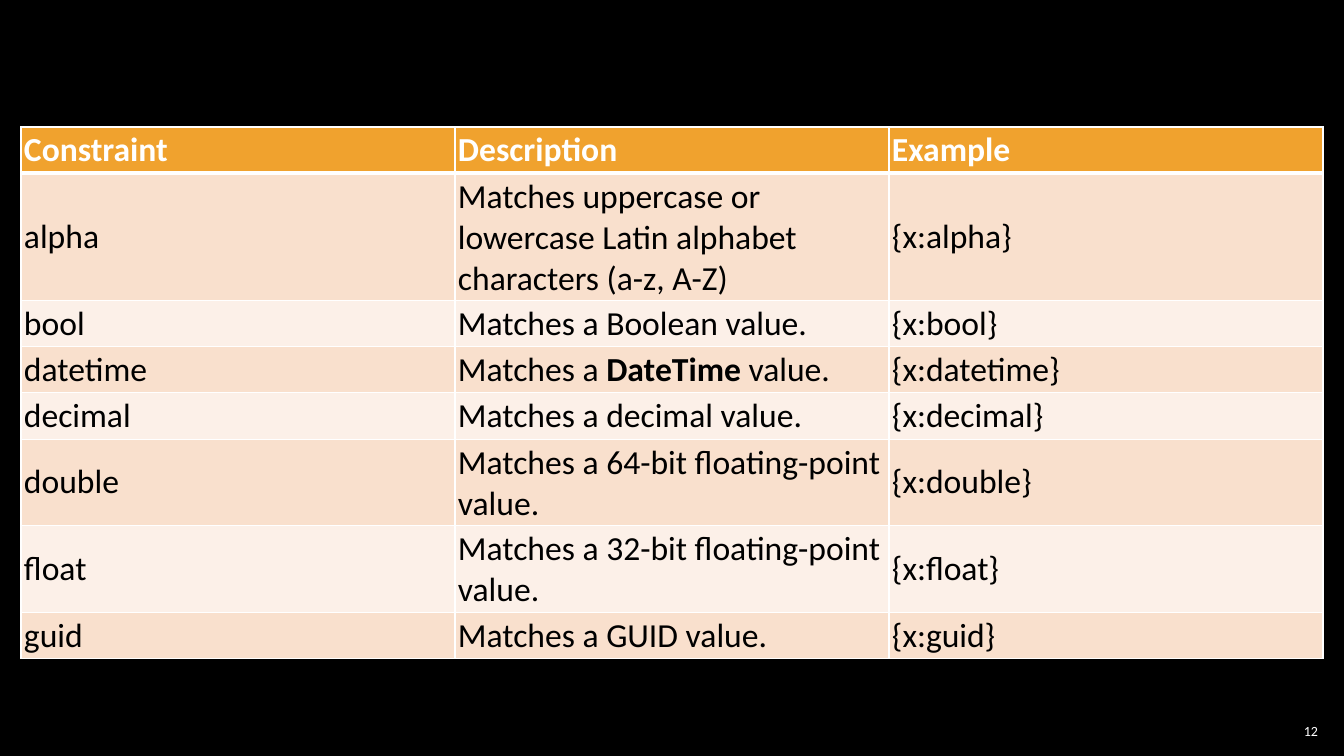
"""Builds a slide with a table of route constraints."""
from dataclasses import dataclass

from lxml.etree import SubElement
from pptx import Presentation
from pptx.dml.color import RGBColor
from pptx.enum.text import MSO_ANCHOR, PP_ALIGN
from pptx.oxml.ns import qn
from pptx.util import Emu, Pt


@dataclass(frozen=True)
class Theme:
    font: str = "Calibri"
    table_size: int = 24
    number_size: int = 10
    background: str = "000000"
    header: str = "F0A22E"
    bands: tuple[str, str] = ("F9E0CD", "FCF0E8")
    light: str = "FFFFFF"
    dark: str = "000000"
    thin: int = 1
    thick: int = 3


@dataclass(frozen=True)
class Constraint:
    name: str
    description: tuple[str, ...]

    @property
    def cells(self) -> tuple[tuple[str, ...], ...]:
        return (self.name,), self.description, (f"{{x:{self.name}}}",)


THEME = Theme()
HEADINGS = (("Constraint",), ("Description",), ("Example",))
CONSTRAINTS = (
    Constraint("alpha", ("Matches uppercase or lowercase Latin alphabet characters (a-z, A-Z)",)),
    Constraint("bool", ("Matches a Boolean value.",)),
    Constraint("datetime", ("Matches a ", "DateTime", " value.")),
    Constraint("decimal", ("Matches a decimal value.",)),
    Constraint("double", ("Matches a 64-bit floating-point value.",)),
    Constraint("float", ("Matches a 32-bit floating-point value.",)),
    Constraint("guid", ("Matches a GUID value.",)),
)


def px(n: int) -> Emu:
    return Emu(round(n * 914400 / 100.8))


def rgb(color: str) -> RGBColor:
    return RGBColor.from_string(color)


def set_margins(box, n: int) -> None:
    box.margin_left = box.margin_right = box.margin_top = box.margin_bottom = px(n)


def set_font(p, size: int, color: str) -> None:
    p.font.name = THEME.font
    p.font.size = Pt(size)
    p.font.color.rgb = rgb(color)


def add_border(cell, side: str, width: int) -> None:
    ln = SubElement(cell._tc.get_or_add_tcPr(), qn(f"a:ln{side}"), w=str(Pt(width)))
    SubElement(SubElement(ln, qn("a:solidFill")), qn("a:srgbClr"), val=THEME.light)


def fill_cell(cell, parts: tuple[str, ...], row: int) -> None:
    is_header = row == 0
    for side in "LRTB":
        under_header = (row, side) in ((0, "B"), (1, "T"))
        add_border(cell, side, THEME.thick if under_header else THEME.thin)
    cell.fill.solid()
    cell.fill.fore_color.rgb = rgb(THEME.header if is_header else THEME.bands[(row - 1) % 2])
    cell.vertical_anchor = MSO_ANCHOR.MIDDLE
    set_margins(cell, 3)
    p = cell.text_frame.paragraphs[0]
    set_font(p, THEME.table_size, THEME.light if is_header else THEME.dark)
    for i, text in enumerate(parts):
        r = p.add_run()
        r.text = text
        r.font.bold = is_header or i % 2 == 1


def add_constraint_table(slide) -> None:
    rows = (HEADINGS, *(c.cells for c in CONSTRAINTS))
    frame = slide.shapes.add_table(len(rows), len(HEADINGS), px(21), px(127), px(1302), px(537))
    table = frame.table
    table.first_row = table.horz_banding = False
    for row, cells in enumerate(rows):
        table.rows[row].height = px(41)
        for col, parts in enumerate(cells):
            fill_cell(table.cell(row, col), parts, row)
    frame.height = px(537)


def add_slide_number(slide, number: int) -> None:
    tf = slide.shapes.add_textbox(px(1275), px(720), px(47), px(21)).text_frame
    tf.word_wrap = True
    tf.vertical_anchor = MSO_ANCHOR.MIDDLE
    set_margins(tf, 4)
    p = tf.paragraphs[0]
    p.text = str(number)
    p.alignment = PP_ALIGN.RIGHT
    set_font(p, THEME.number_size, THEME.light)


def main() -> None:
    prs = Presentation()
    prs.slide_width, prs.slide_height = px(1344), px(756)
    slide = prs.slides.add_slide(prs.slide_layouts[6])
    slide.background.fill.solid()
    slide.background.fill.fore_color.rgb = rgb(THEME.background)
    add_slide_number(slide, 12)
    add_constraint_table(slide)
    prs.save("out.pptx")


if __name__ == "__main__":
    main()
